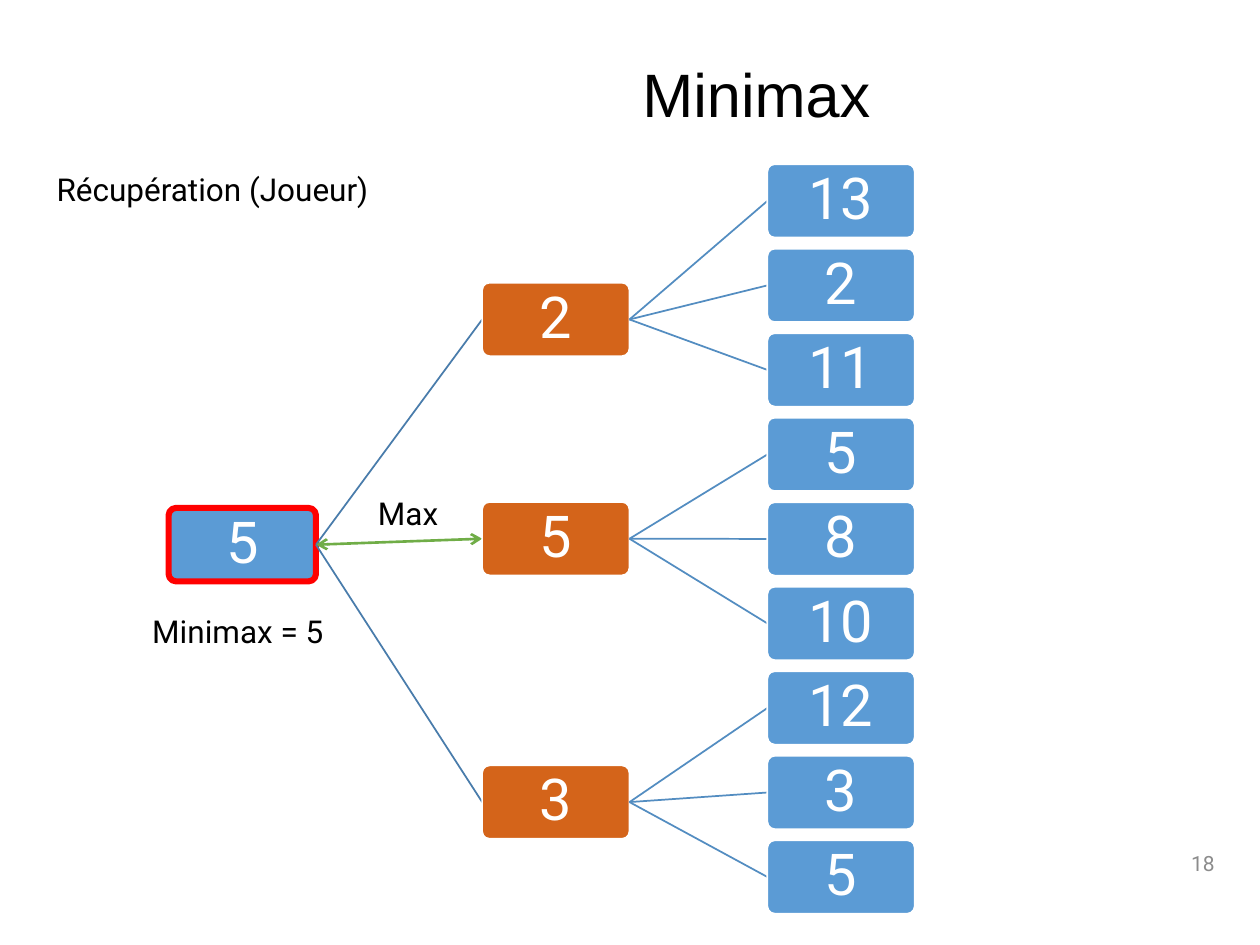
from lxml.etree import SubElement
from pptx import Presentation
from pptx.dml.color import RGBColor
from pptx.enum.shapes import MSO_CONNECTOR, MSO_SHAPE
from pptx.enum.text import MSO_ANCHOR, MSO_AUTO_SIZE, PP_ALIGN
from pptx.oxml.ns import qn
from pptx.util import Cm, Pt

NODE_WIDTH, NODE_HEIGHT = 2.97, 1.48
MIN_COLUMN, LEAF_COLUMN = 6.32, 12.07
ROOT_VALUE, ROOT_TOP = "5", 6.93
BRANCHES = [
    ("2", 2.39, ["13", "2", "11"]),
    ("5", 6.81, ["5", "8", "10"]),
    ("3", 12.12, ["12", "3", "5"]),
]
CHOSEN_BRANCH = 1
MAX_BLUE, MIN_ORANGE = "5B9BD5", "D4641A"


def color(hex_string):
    """Turn a hex string into a colour."""
    return RGBColor.from_string(hex_string)


def write(frame, text, size, font, ink, align=PP_ALIGN.LEFT, spacing=None):
    """Write one styled paragraph into a text frame."""
    paragraph = frame.paragraphs[0]
    paragraph.text = text
    paragraph.alignment = align
    paragraph.line_spacing = spacing
    paragraph.font.size = Pt(size)
    paragraph.font.name = font
    paragraph.font.color.rgb = color(ink)


def add_heading(slide, left, top, width, height):
    """Place the slide title in its box."""
    heading = slide.shapes.add_textbox(Cm(left), Cm(top), Cm(width), Cm(height)).text_frame
    heading.word_wrap = True
    heading.vertical_anchor = MSO_ANCHOR.MIDDLE
    write(heading, "Minimax", 35, "Arial", "000000", spacing=0.9)


def add_page_number(slide, left, top, width, height):
    """Place the page number in its box."""
    number = slide.shapes.add_textbox(Cm(left), Cm(top), Cm(width), Cm(height)).text_frame
    number.word_wrap = True
    number.vertical_anchor = MSO_ANCHOR.MIDDLE
    write(number, "18", 12, "Roboto", "8C8C8C", PP_ALIGN.RIGHT)


def add_caption(slide, text, left, top, width, height):
    """Place a short note beside the tree."""
    caption = slide.shapes.add_textbox(Cm(left), Cm(top), Cm(width), Cm(height)).text_frame
    caption.word_wrap = False
    caption.auto_size = MSO_AUTO_SIZE.SHAPE_TO_FIT_TEXT
    write(caption, text, 18, "Roboto", "000000")


def add_node(slide, value, left, top, fill, border="FFFFFF", border_width=1):
    """Draw one rounded node with its value."""
    node = slide.shapes.add_shape(
        MSO_SHAPE.ROUNDED_RECTANGLE, Cm(left), Cm(top), Cm(NODE_WIDTH), Cm(NODE_HEIGHT)
    )
    node.adjustments[0] = 0.1
    node.shadow.inherit = False
    node.fill.solid()
    node.fill.fore_color.rgb = color(fill)
    node.line.color.rgb = color(border)
    node.line.width = Pt(border_width)
    label = node.text_frame
    label.margin_left = label.margin_right = Cm(0.1)
    label.margin_top = label.margin_bottom = Cm(0.1)
    label.vertical_anchor = MSO_ANCHOR.MIDDLE
    write(label, value, 33, "Roboto", "FFFFFF", PP_ALIGN.CENTER, 0.9)


def add_edge(slide, parent, child, ink, width=1, arrows=False):
    """Join the right side of a parent to the left side of a child."""
    middle = NODE_HEIGHT / 2
    edge = slide.shapes.add_connector(
        MSO_CONNECTOR.STRAIGHT,
        Cm(parent[0] + NODE_WIDTH), Cm(parent[1] + middle),
        Cm(child[0]), Cm(child[1] + middle),
    )
    edge.line.color.rgb = color(ink)
    edge.line.width = Pt(width)
    if arrows:
        outline = edge.line._get_or_add_ln()
        for end in ("a:headEnd", "a:tailEnd"):
            SubElement(outline, qn(end), type="arrow")
    SubElement(edge._element.spPr, qn("a:effectLst"))


def add_tree(slide, left, top, height):
    """Draw the root, its branches and their evenly spaced leaves."""
    leaf_count = sum(len(leaves) for _, _, leaves in BRANCHES)
    leaf_pitch = (height - NODE_HEIGHT) / (leaf_count - 1)
    root = (left, top + ROOT_TOP)
    leaf_top = top
    add_node(slide, ROOT_VALUE, *root, MAX_BLUE, "FF0000", 3.5)
    for index, (value, branch_top, leaves) in enumerate(BRANCHES):
        branch = (left + MIN_COLUMN, top + branch_top)
        if index == CHOSEN_BRANCH:
            add_edge(slide, root, branch, "70AD47", 1.5, arrows=True)
        else:
            add_edge(slide, root, branch, "497CAB")
        add_node(slide, value, *branch, MIN_ORANGE)
        for leaf_value in leaves:
            leaf = (left + LEAF_COLUMN, leaf_top)
            add_edge(slide, branch, leaf, "538DC1")
            add_node(slide, leaf_value, *leaf, MAX_BLUE)
            leaf_top += leaf_pitch


def main():
    """Build the slide and save it."""
    presentation = Presentation()
    presentation.slide_width, presentation.slide_height = Cm(25.4), Cm(19.05)
    slide = presentation.slides.add_slide(presentation.slide_layouts[6])
    add_heading(slide, 12.7, 0.64, 11.91, 2.67)
    add_page_number(slide, 19.02, 16.89, 5.72, 1.02)
    add_tree(slide, 3.4, 3.31, 15.11)
    add_caption(slide, "Récupération (Joueur)", 0.89, 3.3, 6.86, 1.02)
    add_caption(slide, "Max", 7.37, 9.83, 1.73, 1.02)
    add_caption(slide, "Minimax = 5", 2.82, 12.22, 3.99, 1.02)
    presentation.save("out.pptx")


if __name__ == "__main__":
    main()
